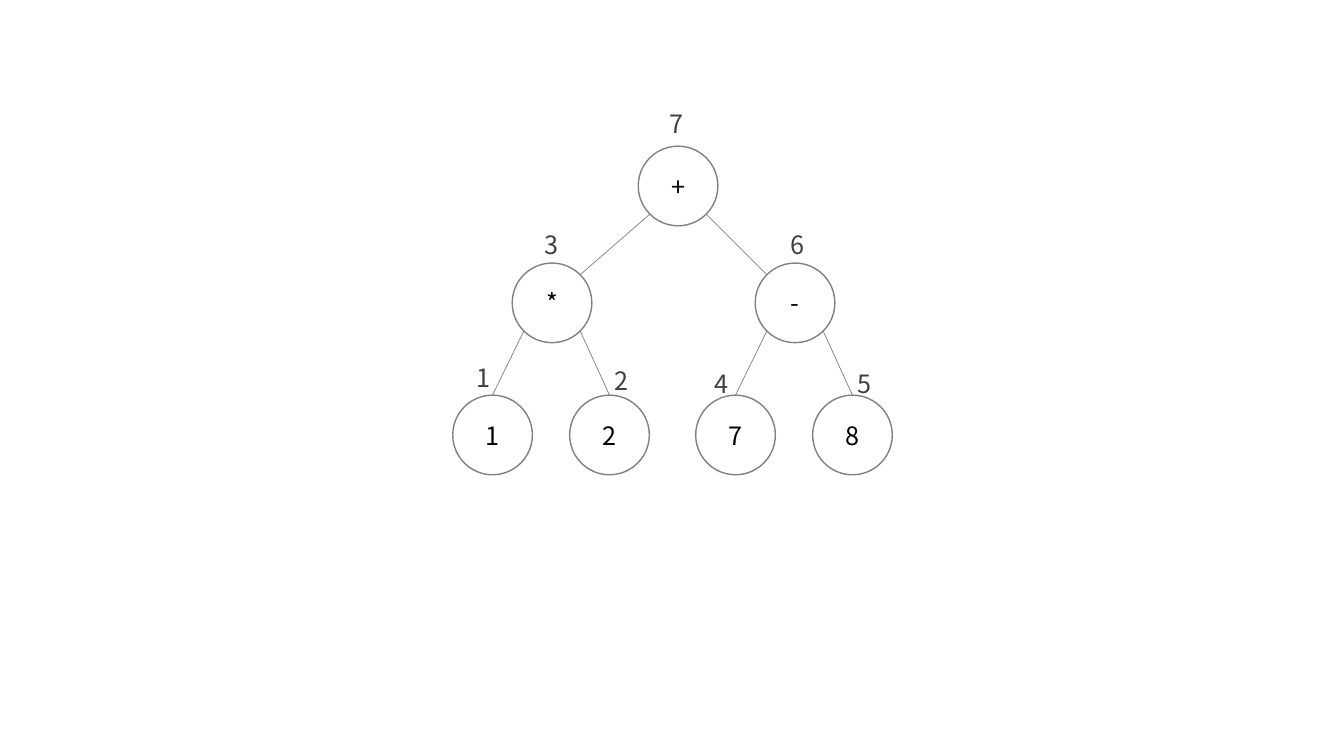
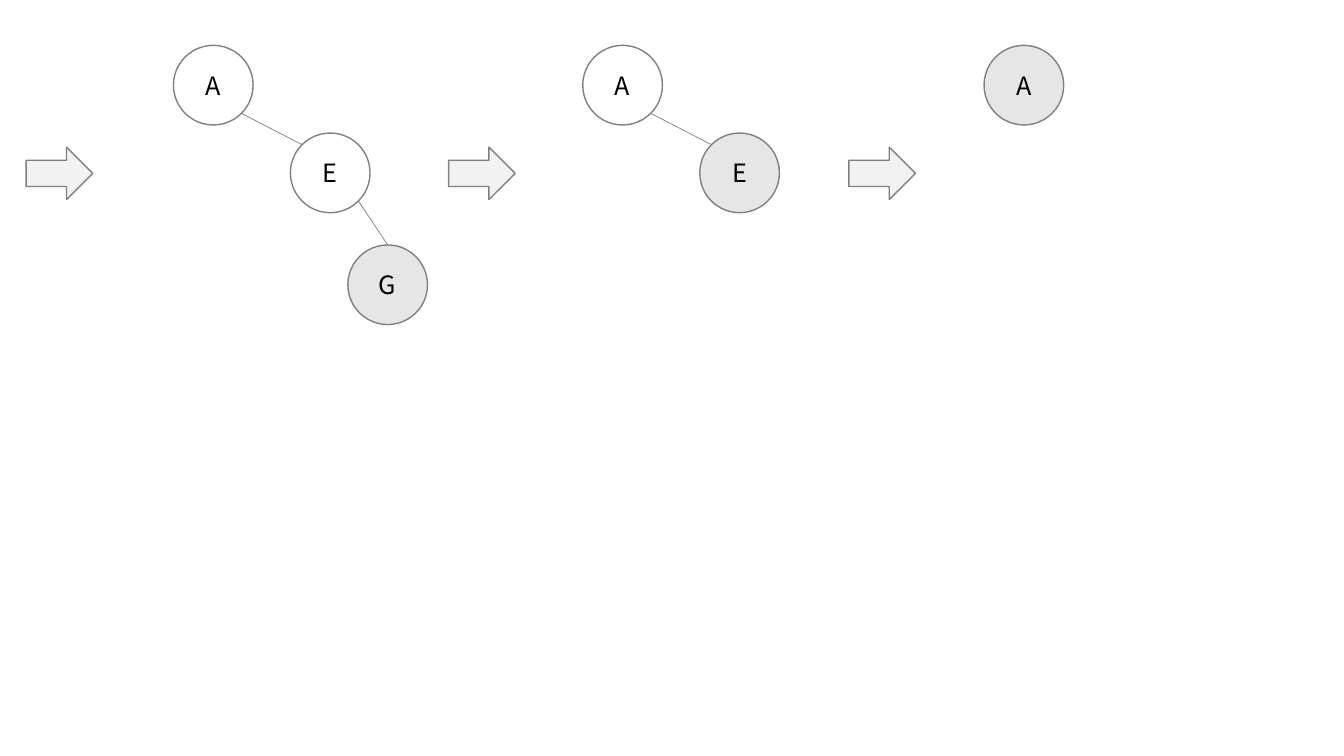
from lxml import etree
from pptx import Presentation
from pptx import util as u
from pptx.dml.color import RGBColor
from pptx.enum import shapes, text
from pptx.oxml.ns import qn

COLORS = {"white": "FFFFFF", "visited": "E7E6E6", "arrow": "F2F2F2",
          "outline": "808080", "label": "404040", "text": "000000"}
FONT = "Noto Sans CJK KR"
SIZE = 0.79  # node diameter
# Points on the circle, as fractions of its bounding box
ANCHORS = {"top": (0.5, 0), "upper left": (0.146, 0.146), "upper right": (0.854, 0.146),
           "lower left": (0.146, 0.854), "lower right": (0.854, 0.854)}

# nodes: key -> (text, left, top, fill)
# edges: (parent, parent anchor, child, child anchor)
# labels: (text, left, top); arrows: (left, top)
SLIDES = [
    {"nodes": {"plus": ("+", 6.33, 1.45, "white"),
               "times": ("*", 5.08, 2.61, "white"),
               "minus": ("-", 7.49, 2.61, "white"),
               "one": ("1", 4.49, 3.92, "white"),
               "two": ("2", 5.65, 3.92, "white"),
               "seven": ("7", 6.9, 3.92, "white"),
               "eight": ("8", 8.06, 3.92, "white")},
     "edges": [("plus", "lower left", "times", "upper right"),
               ("plus", "lower right", "minus", "upper left"),
               ("times", "lower left", "one", "top"),
               ("times", "lower right", "two", "top"),
               ("minus", "lower left", "seven", "top"),
               ("minus", "lower right", "eight", "top")],
     "labels": [("7", 6.54, 1.03), ("3", 5.3, 2.23), ("6", 7.74, 2.23), ("4", 6.99, 3.6),
                ("5", 8.4, 3.6), ("1", 4.63, 3.55), ("2", 5.99, 3.58)],
     "arrows": []},
    {"nodes": {"A1": ("A", 1.72, 0.45, "white"),
               "E1": ("E", 2.88, 1.32, "white"),
               "G1": ("G", 3.45, 2.43, "visited"),
               "A2": ("A", 5.78, 0.45, "white"),
               "E2": ("E", 6.94, 1.32, "visited"),
               "A3": ("A", 9.76, 0.45, "visited")},
     "edges": [("A1", "lower right", "E1", "upper left"),
               ("E1", "lower right", "G1", "top"),
               ("A2", "lower right", "E2", "upper left")],
     "labels": [],
     "arrows": [(0.33, 1.39), (4.52, 1.39), (8.49, 1.39)]},
]


def add_text(sp, value, color):
    p = sp.text_frame.paragraphs[0]
    p.alignment = text.PP_ALIGN.CENTER
    r = p.add_run()
    r.text = value
    r.font.name = FONT
    r.font.size = u.Pt(18)
    r.font.color.rgb = RGBColor.from_string(COLORS[color])


def add_outlined(s, kind, left, top, width, height, fill):
    sp = s.shapes.add_shape(kind, u.Inches(left), u.Inches(top), u.Inches(width), u.Inches(height))
    sp.shadow.inherit = False
    sp.fill.solid()
    sp.fill.fore_color.rgb = RGBColor.from_string(COLORS[fill])
    sp.line.color.rgb = RGBColor.from_string(COLORS["outline"])
    sp.line.width = u.Pt(1)
    return sp


prs = Presentation()
prs.slide_width = u.Inches(13.33)
prs.slide_height = u.Inches(7.5)

for content in SLIDES:
    s = prs.slides.add_slide(prs.slide_layouts[6])

    nodes = {}
    for key, (value, left, top, fill) in content["nodes"].items():
        sp = add_outlined(s, shapes.MSO_SHAPE.OVAL, left, top, SIZE, SIZE, fill)
        sp.text_frame.vertical_anchor = text.MSO_ANCHOR.MIDDLE
        add_text(sp, value, "text")
        nodes[key] = sp

    for parent, start, child, end in content["edges"]:
        points = []
        for key, anchor in ((parent, start), (child, end)):
            sp, (fx, fy) = nodes[key], ANCHORS[anchor]
            points += [sp.left + int(sp.width * fx), sp.top + int(sp.height * fy)]
        edge = s.shapes.add_connector(shapes.MSO_CONNECTOR.STRAIGHT, *points)
        if end == "top":
            edge.end_connect(nodes[child], 0)
        edge.line.color.rgb = RGBColor.from_string(COLORS["outline"])
        edge.line.width = u.Pt(0.5)
        etree.SubElement(edge._element.spPr, qn("a:effectLst"))

    for value, left, top in content["labels"]:
        label = s.shapes.add_textbox(u.Inches(left), u.Inches(top), u.Inches(0.34), u.Inches(0.4))
        label.text_frame.word_wrap = False
        label.text_frame.auto_size = text.MSO_AUTO_SIZE.SHAPE_TO_FIT_TEXT
        add_text(label, value, "label")

    for left, top in content["arrows"]:
        arrow = add_outlined(s, shapes.MSO_SHAPE.DOWN_ARROW, left, top, 0.52, 0.66, "arrow")
        arrow.rotation = 270

prs.save("out.pptx")
